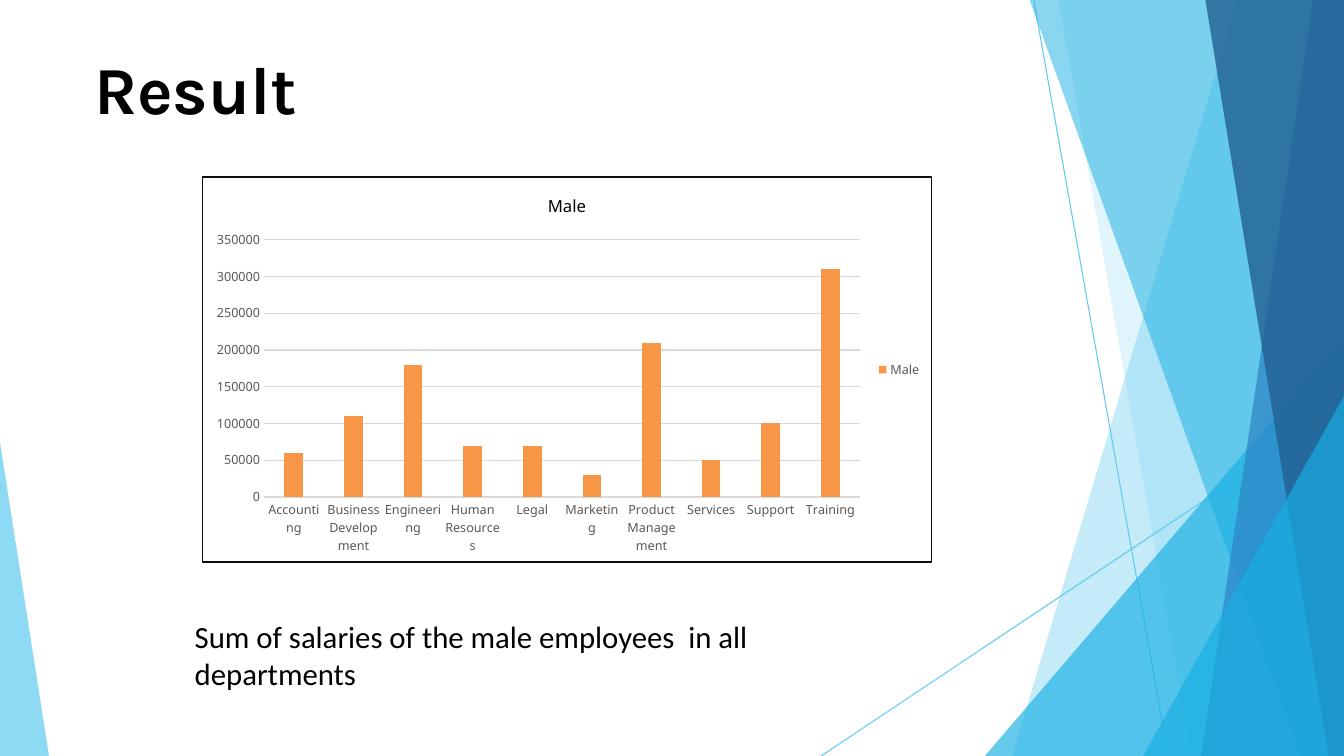
from typing import NamedTuple

from lxml import etree
from pptx import Presentation
from pptx.chart.data import CategoryChartData
from pptx.dml.color import RGBColor
from pptx.enum.chart import XL_CHART_TYPE, XL_LEGEND_POSITION, XL_TICK_MARK
from pptx.enum.shapes import MSO_CONNECTOR
from pptx.enum.text import MSO_ANCHOR, PP_ALIGN
from pptx.oxml.ns import qn
from pptx.util import Pt

COLUMN_CHART = XL_CHART_TYPE.COLUMN_CLUSTERED
LEGEND_RIGHT = XL_LEGEND_POSITION.RIGHT
NO_TICK = XL_TICK_MARK.NONE
STRAIGHT = MSO_CONNECTOR.STRAIGHT
TOP = MSO_ANCHOR.TOP
LEFT = PP_ALIGN.LEFT

SKY = RGBColor(0x5F, 0xCA, 0xEE)
CYAN = RGBColor(0x17, 0xAF, 0xE3)
BLUE = RGBColor(0x2D, 0x83, 0xC3)
NAVY = RGBColor(0x22, 0x61, 0x92)
ORANGE = RGBColor(0xF7, 0x96, 0x46)
BLACK = RGBColor(0, 0, 0)
WHITE = RGBColor(0xFF, 0xFF, 0xFF)
FRAME = RGBColor(0x0D, 0x0D, 0x0D)
LABEL_GRAY = RGBColor(0x59, 0x59, 0x59)
GRID_GRAY = RGBColor(0xD9, 0xD9, 0xD9)

CHART_FONT = "Noto Sans"
WIDTH, HEIGHT = 960, 540


class Ray(NamedTuple):
    start: tuple[float, float]
    end: tuple[float, float]


class Facet(NamedTuple):
    points: list[tuple[float, float]]
    color: RGBColor
    opacity: int


def right_facet(top_x: float, top_y: float, bottom_x: float,
                color: RGBColor, opacity: int) -> Facet:
    """Facet between a slanted left edge and the right side of the slide."""
    points = [(WIDTH, top_y), (top_x, top_y), (bottom_x, HEIGHT), (WIDTH, HEIGHT)]
    if top_x == WIDTH:
        points.pop(1)
    return Facet(points, color, opacity)


RAYS = [Ray((738.5, 0.5), (834.5, HEIGHT)), Ray((WIDTH, 291), (586.5, HEIGHT))]
FACETS = [
    right_facet(884, 0, 723, SKY, 36),
    right_facet(756, 0, 851, SKY, 20),
    right_facet(WIDTH, 240, 703.5, CYAN, 66),
    right_facet(735.5, 0, 929.5, CYAN, 50),
    right_facet(938, 0, 858, BLUE, 70),
    right_facet(861, 0, 949, NAVY, 80),
    right_facet(WIDTH, 283, 816.5, CYAN, 66),
    Facet([(0, 316), (0, HEIGHT), (35, HEIGHT)], SKY, 70),
]
SALARIES = {
    "Accounting": 60000,
    "Business Development": 110000,
    "Engineering": 180000,
    "Human Resources": 70000,
    "Legal": 70000,
    "Marketing": 30000,
    "Product Management": 210000,
    "Services": 50000,
    "Support": 100000,
    "Training": 310000,
}


def draw_ray(slide, ray: Ray) -> None:
    connector = slide.shapes.add_connector(
        STRAIGHT, *(Pt(value) for value in ray.start + ray.end))
    connector.line.color.rgb = SKY
    connector.line.width = Pt(0.75)
    etree.SubElement(connector._element.spPr, qn("a:effectLst"))


def draw_facet(slide, facet: Facet) -> None:
    start, *others = [(Pt(x), Pt(y)) for x, y in facet.points]
    builder = slide.shapes.build_freeform(*start, scale=1.0)
    builder.add_line_segments(others, close=True)
    shape = builder.convert_to_shape()
    shape.shadow.inherit = False
    shape.line.fill.background()
    shape.fill.solid()
    shape.fill.fore_color.rgb = facet.color
    color = shape._element.spPr.find(qn("a:solidFill"))[0]
    etree.SubElement(color, qn("a:alpha"), val=str(facet.opacity * 1000))


def set_font(font, name: str, size: float, color: RGBColor, bold: bool = False) -> None:
    font.name = name
    font.size = Pt(size)
    font.color.rgb = color
    font.bold = bold


def write_title(slide) -> None:
    title = slide.shapes.title
    title.left, title.top, title.width, title.height = Pt(60), Pt(30), Pt(841), Pt(60)
    frame = title.text_frame
    frame.vertical_anchor = TOP
    frame.margin_top = Pt(3.6)
    frame.margin_bottom = Pt(0)
    paragraph = frame.paragraphs[0]
    paragraph.alignment = LEFT
    run = paragraph.add_run()
    run.text = "Result"
    set_font(run.font, "Karla", 48, BLACK, bold=True)
    # Keep the title in front of the backdrop
    slide.shapes._spTree.append(title._element)


def write_caption(slide) -> None:
    caption = slide.shapes.add_textbox(Pt(132), Pt(438), Pt(522), Pt(60))
    caption.text_frame.word_wrap = True
    run = caption.text_frame.paragraphs[0].add_run()
    run.text = "Sum of salaries of the male employees  in all departments"
    set_font(run.font, "Calibri", 22, BLACK)


def draw_chart(slide) -> None:
    data = CategoryChartData()
    data.categories = list(SALARIES)
    data.add_series("Male", list(SALARIES.values()))
    chart = slide.shapes.add_chart(
        COLUMN_CHART, Pt(144), Pt(126), Pt(522), Pt(276), data).chart
    set_font(chart.font, CHART_FONT, 10, BLACK)

    # Title and legend
    chart.has_title = True
    run = chart.chart_title.text_frame.paragraphs[0].add_run()
    run.text = "Male"
    set_font(run.font, CHART_FONT, 12, BLACK)
    chart.has_legend = True
    chart.legend.position = LEGEND_RIGHT
    chart.legend.include_in_layout = False
    set_font(chart.legend.font, CHART_FONT, 9, LABEL_GRAY)

    # Columns
    plot = chart.plots[0]
    plot.gap_width = 219
    plot.overlap = -27
    plot.vary_by_categories = False
    fill = plot.series[0].format.fill
    fill.solid()
    fill.fore_color.rgb = ORANGE

    # Axes and grid
    for axis in (chart.category_axis, chart.value_axis):
        axis.major_tick_mark = axis.minor_tick_mark = NO_TICK
        set_font(axis.tick_labels.font, CHART_FONT, 9, LABEL_GRAY)
        # Level labels that wrap
        body = axis._element.find(qn("c:txPr")).find(qn("a:bodyPr"))
        body.set("rot", "0")
        body.set("vert", "horz")
    chart.value_axis.format.line.fill.background()
    chart.value_axis.minimum_scale = 0
    chart.value_axis.maximum_scale = 350000
    chart.value_axis.major_unit = 50000
    for line in (chart.category_axis.format.line,
                 chart.value_axis.major_gridlines.format.line):
        line.color.rgb = GRID_GRAY
        line.width = Pt(1)

    # White background with a dark frame
    properties = etree.Element(qn("c:spPr"))
    background = etree.SubElement(properties, qn("a:solidFill"))
    etree.SubElement(background, qn("a:srgbClr"), val=str(WHITE))
    border = etree.SubElement(properties, qn("a:ln"), w=str(Pt(1)))
    border_fill = etree.SubElement(border, qn("a:solidFill"))
    etree.SubElement(border_fill, qn("a:srgbClr"), val=str(FRAME))
    chart._chartSpace.find(qn("c:chart")).addnext(properties)


def main() -> None:
    presentation = Presentation()
    presentation.slide_width, presentation.slide_height = Pt(WIDTH), Pt(HEIGHT)
    slide = presentation.slides.add_slide(presentation.slide_layouts[5])
    for ray in RAYS:
        draw_ray(slide, ray)
    for facet in FACETS:
        draw_facet(slide, facet)
    write_title(slide)
    draw_chart(slide)
    write_caption(slide)
    presentation.save("out.pptx")


if __name__ == "__main__":
    main()
